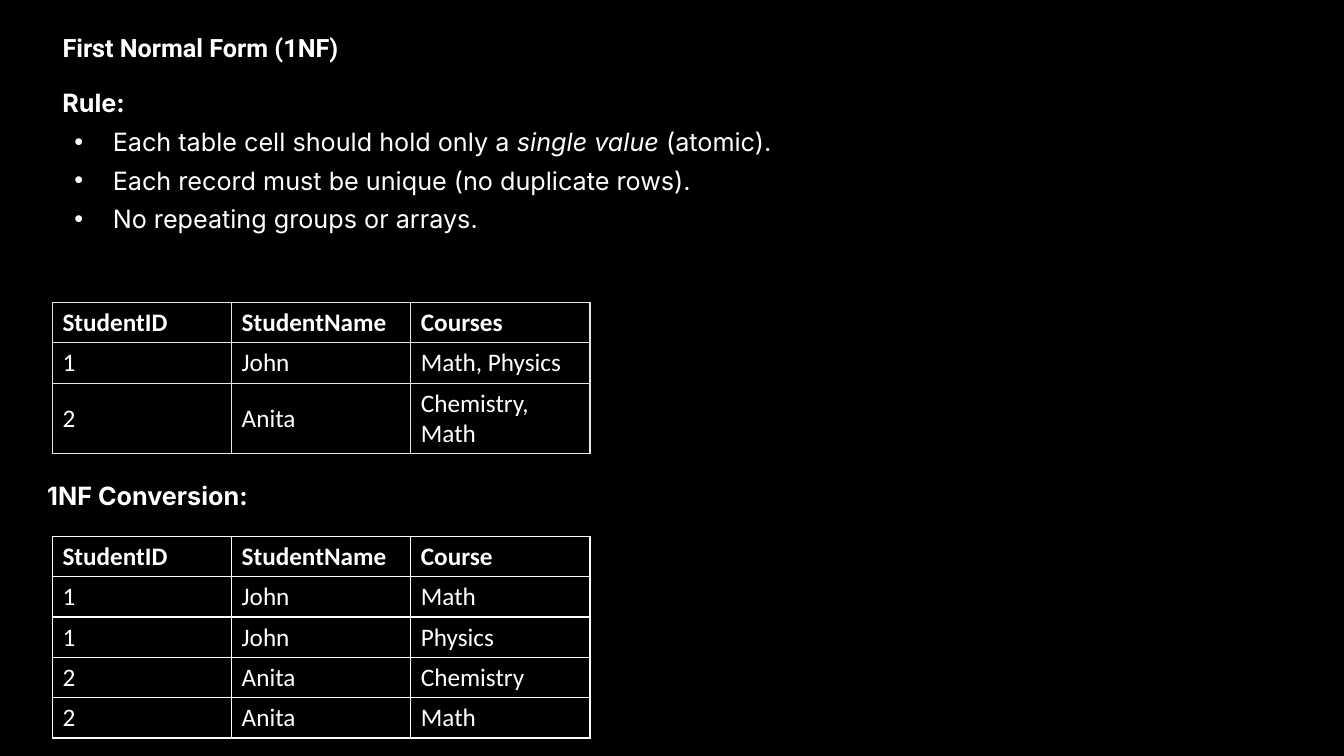
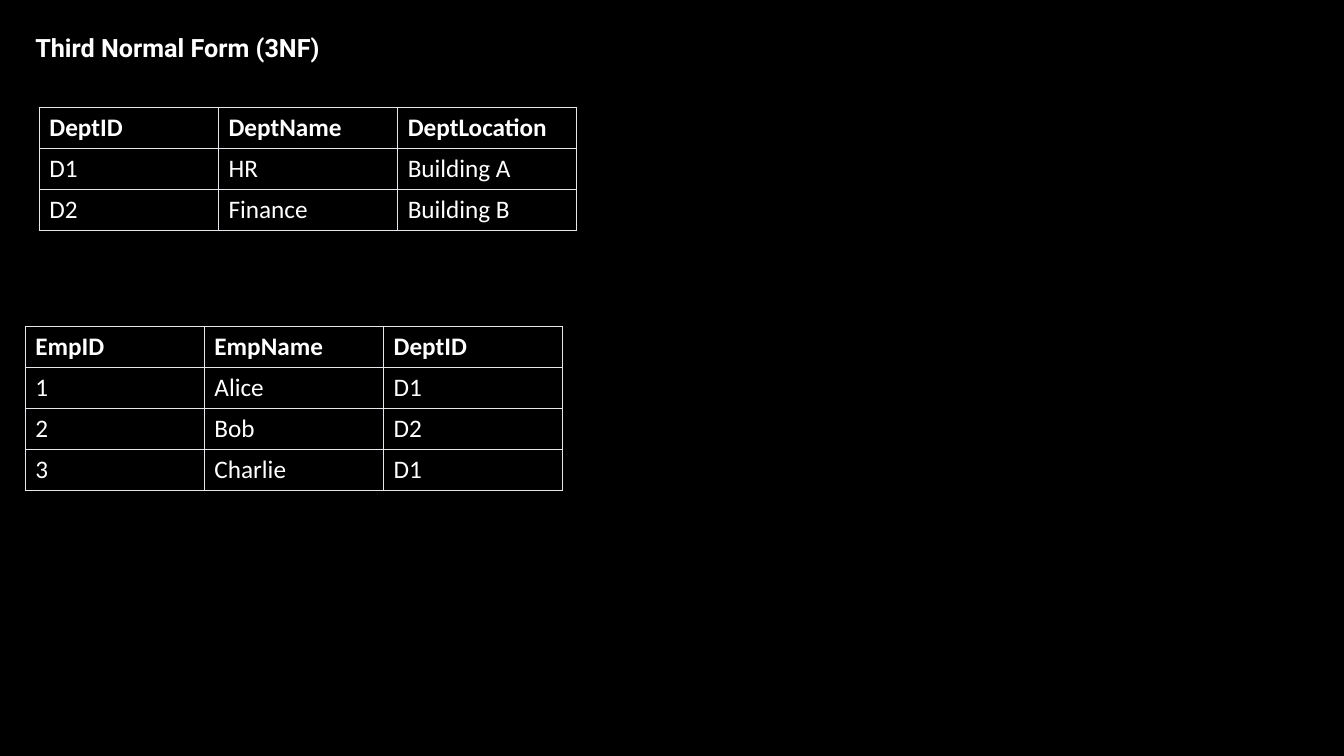
from pptx import Presentation
from pptx.dml.color import RGBColor
from pptx.enum.text import MSO_ANCHOR, MSO_AUTO_SIZE, PP_ALIGN
from pptx.oxml.ns import qn
from pptx.util import Inches, Pt
from lxml.etree import SubElement

# Shared page, grid and style
WIDTH, HEIGHT = 13.33, 7.5
COL, ROW = WIDTH * 0.4 / 3, 0.4
TITLE_TOP, TITLE_HEIGHT = 0.27, 0.71
MARGIN = 0.52
WIDE_MARGIN, NARROW_MARGIN = MARGIN, 0.25
BLACK, WHITE, PALE = "000000", "FFFFFF", "E5E7EB"
TITLE_FONT, BODY_FONT, TABLE_FONT = "Roboto", "Inter", "Calibri"
TEXT_SIZE = 18


def rgb(value):
    return RGBColor.from_string(value)


def style_run(r, font, bold=False, italic=False):
    r.font.name = font
    r.font.size = Pt(TEXT_SIZE)
    r.font.bold = bold
    r.font.italic = italic
    r.font.color.rgb = rgb(WHITE)


def add_titled_slide(prs, title, left):
    s = prs.slides.add_slide(prs.slide_layouts[5])
    sp = s.shapes.title
    sp.left, sp.top = Inches(left), Inches(TITLE_TOP)
    sp.width, sp.height = Inches(WIDTH * 0.44), Inches(TITLE_HEIGHT)
    tf = sp.text_frame
    tf.text = title
    tf.auto_size = MSO_AUTO_SIZE.NONE
    tf.vertical_anchor = MSO_ANCHOR.TOP
    p = tf.paragraphs[0]
    p.alignment = PP_ALIGN.LEFT
    style_run(p.runs[0], TITLE_FONT, bold=True)
    return s


def make_bullet(p):
    p.level = 1
    pPr = p._p.get_or_add_pPr()
    pPr.set("marL", str(Inches(0.5)))
    pPr.set("indent", str(Inches(-0.38)))
    SubElement(pPr, qn("a:buFont")).set("typeface", "Arial")
    SubElement(pPr, qn("a:buChar")).set("char", "•")


def add_text(s, left, top, width, height, heading, bullets=()):
    """Bold heading over bullets; each bullet is a list of (text, italic)."""
    sp = s.shapes.add_textbox(Inches(left), Inches(top), Inches(width), Inches(height))
    tf = sp.text_frame
    tf.word_wrap = True
    tf.text = heading
    style_run(tf.paragraphs[0].runs[0], BODY_FONT, bold=True)
    for parts in bullets:
        p = tf.add_paragraph()
        p.space_before = Pt(6)
        make_bullet(p)
        for text, italic in parts:
            r = p.add_run()
            r.text = text
            style_run(r, BODY_FONT, italic=italic)


def set_borders(cell, color):
    tcPr = cell._tc.get_or_add_tcPr()
    for i, side in enumerate(("lnL", "lnR", "lnT", "lnB")):
        ln = tcPr.makeelement(qn(f"a:{side}"), {"w": str(Pt(1))})
        fill = SubElement(ln, qn("a:solidFill"))
        SubElement(fill, qn("a:srgbClr")).set("val", color)
        tcPr.insert(i, ln)  # borders come before the cell fill


def add_grid_table(s, left, top, rows, line=PALE, tall_rows=()):
    heights = [0.7 if i in tall_rows else ROW for i in range(len(rows))]
    cols = len(rows[0])
    table = s.shapes.add_table(len(rows), cols, Inches(left), Inches(top),
                               Inches(COL * cols), Inches(sum(heights))).table
    table.first_row = table.horz_banding = False
    for col in table.columns:
        col.width = Inches(COL)
    for i, values in enumerate(rows):
        table.rows[i].height = Inches(heights[i])
        for j, value in enumerate(values):
            cell = table.cell(i, j)
            cell.text = value
            cell.fill.background()
            cell.vertical_anchor = MSO_ANCHOR.MIDDLE if i else MSO_ANCHOR.BOTTOM
            style_run(cell.text_frame.paragraphs[0].runs[0], TABLE_FONT, bold=i == 0)
            set_borders(cell, line)


def build_first_form(prs):
    s = add_titled_slide(prs, "First Normal Form (1NF)", WIDE_MARGIN)
    add_text(s, MARGIN, 0.82, WIDTH - 1.51, 1.57, "Rule:", [
        [("Each table cell should hold only a ", False),
         ("single value", True), (" (atomic).", False)],
        [("Each record must be unique (no duplicate rows).", False)],
        [("No repeating groups or arrays.", False)],
    ])
    # Before and after the conversion
    add_grid_table(s, MARGIN, 3, [
        ("StudentID", "StudentName", "Courses"),
        ("1", "John", "Math, Physics"),
        ("2", "Anita", "Chemistry, Math"),
    ], tall_rows=(2,))
    add_text(s, 0.37, 4.72, WIDTH / 2, ROW, "1NF Conversion:")
    add_grid_table(s, MARGIN, 5.32, [
        ("StudentID", "StudentName", "Course"),
        ("1", "John", "Math"),
        ("1", "John", "Physics"),
        ("2", "Anita", "Chemistry"),
        ("2", "Anita", "Math"),
    ], line=WHITE)


def build_third_form(prs):
    s = add_titled_slide(prs, "Third Normal Form (3NF)", NARROW_MARGIN)
    # Departments, then the employees that refer to them
    add_grid_table(s, 0.39, 1.07, [
        ("DeptID", "DeptName", "DeptLocation"),
        ("D1", "HR", "Building A"),
        ("D2", "Finance", "Building B"),
    ])
    add_grid_table(s, NARROW_MARGIN, 3.24, [
        ("EmpID", "EmpName", "DeptID"),
        ("1", "Alice", "D1"),
        ("2", "Bob", "D2"),
        ("3", "Charlie", "D1"),
    ])


def main():
    prs = Presentation()
    prs.slide_width, prs.slide_height = Inches(WIDTH), Inches(HEIGHT)
    # Black background for every slide
    fill = prs.slide_master.background.fill
    fill.solid()
    fill.fore_color.rgb = rgb(BLACK)
    build_first_form(prs)
    build_third_form(prs)
    prs.save("out.pptx")


if __name__ == "__main__":
    main()
